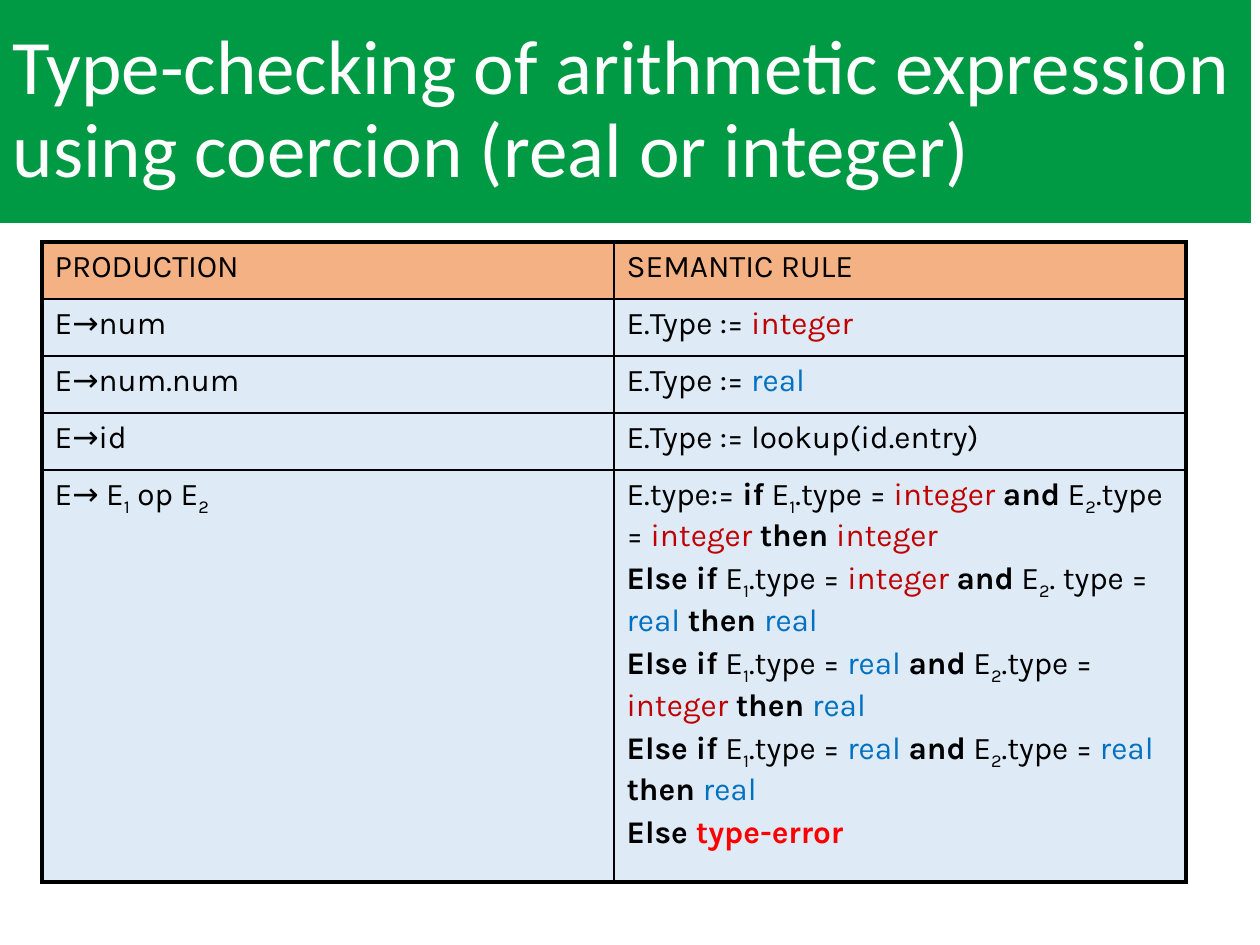
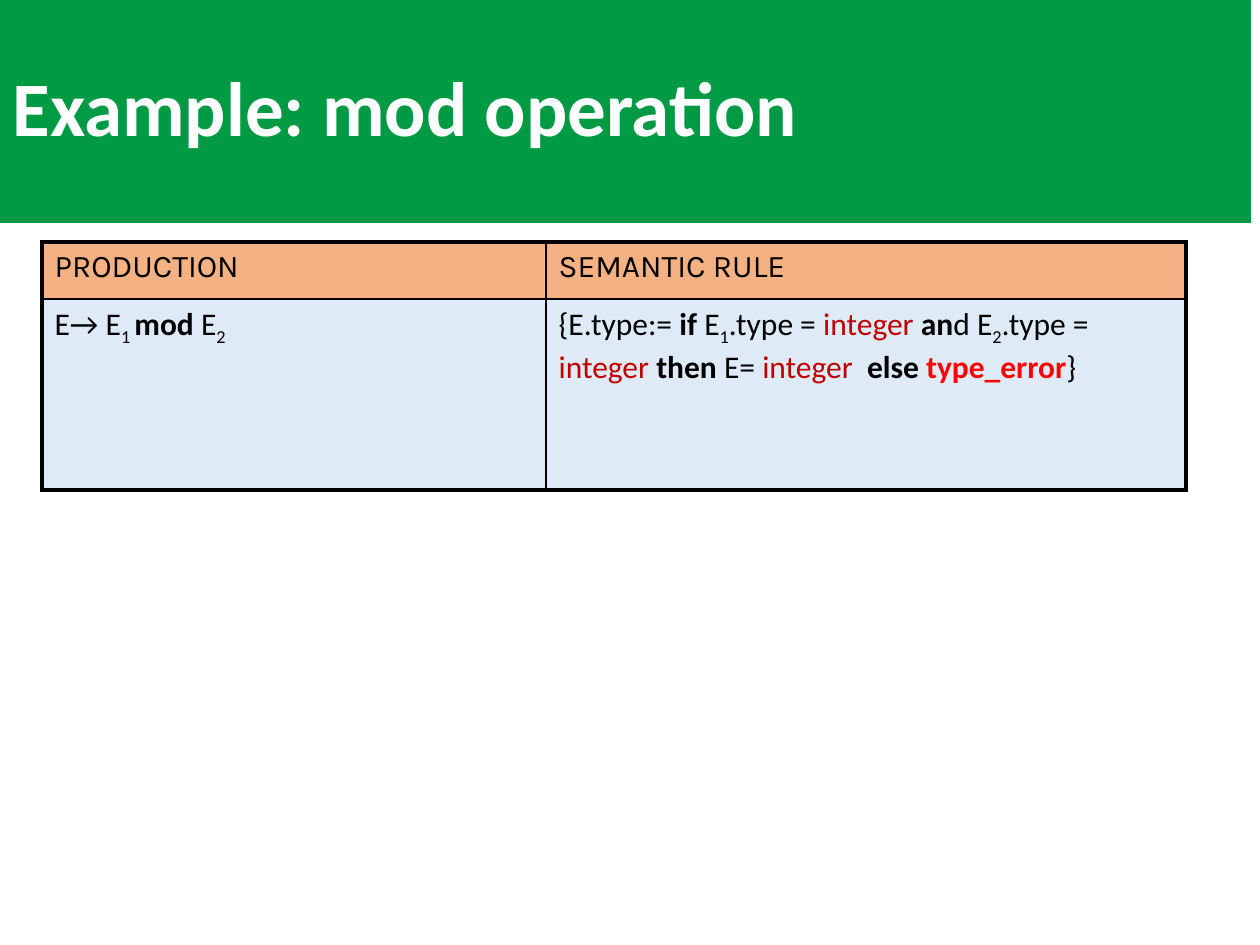
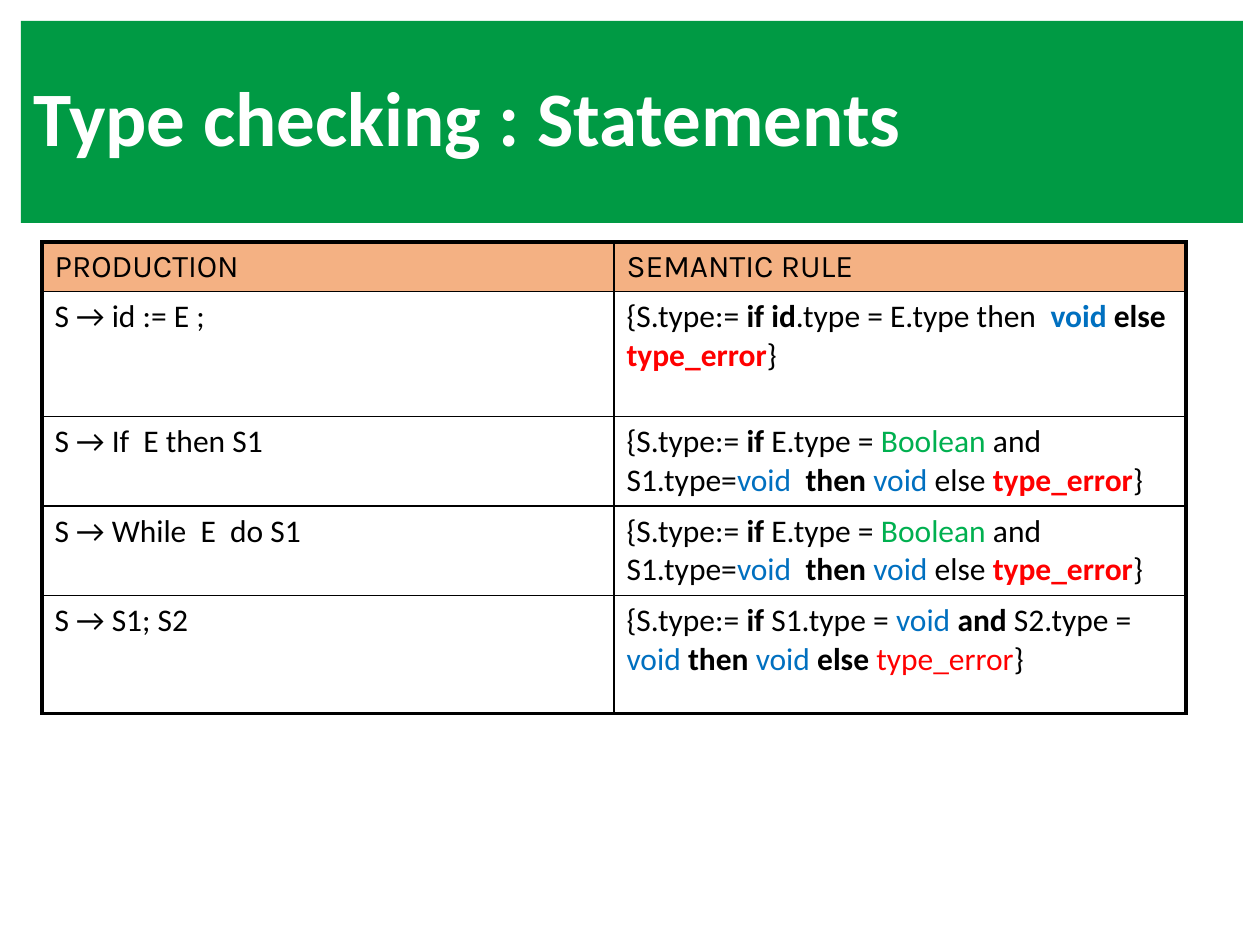
"""Builds three slides on type checking, each with a title band and a rule table."""
from lxml import etree
from pptx import Presentation
from pptx import util as u
from pptx.dml import color
from pptx.enum import text as t
from pptx.oxml import ns

SCALE = 914400 / 126
GREEN, PEACH, PALE, WHITE, BLACK = "009A44", "F4B183", "DEEBF7", "FFFFFF", "000000"
MARKS = {
    "*": {"bold": True},
    "_": {"sub": True},
    "#": {"tint": "C00000"},
    "@": {"tint": "0070C0"},
    "%": {"tint": "00B050"},
    "!": {"tint": "FF0000"},
}


def px(n):
    return u.Emu(round(n * SCALE))


def rgb(code):
    return color.RGBColor.from_string(code)


def paint(item, code):
    item.fill.solid()
    item.fill.fore_color.rgb = rgb(code)


def write(par, words, size=18, face="Calibri", tint=BLACK, bold=False, sub=False):
    run = par.add_run()
    run.text = words
    font = run.font
    font.size, font.name, font.bold = u.Pt(size), face, bold
    font.color.rgb = rgb(tint)
    if sub:
        run._r.get_or_add_rPr().set("baseline", "-25000")


def rich(par, line, **form):
    for part in line.split("|"):
        style = dict(form)
        while part[0] in MARKS:
            style.update(MARKS[part[0]])
            part = part[1:]
        write(par, part, **style)


def space(par, share):
    gap = etree.SubElement(par._p.get_or_add_pPr(), ns.qn("a:spcBef"))
    etree.SubElement(gap, ns.qn("a:spcPct")).set("val", str(share * 1000))


def edge(cell, sides):
    props = cell._tc.get_or_add_tcPr()
    for spot, (side, thick) in enumerate(sides.items()):
        line = etree.Element(ns.qn(f"a:ln{side}"), w=str(u.Pt(thick)))
        fill = etree.SubElement(line, ns.qn("a:solidFill"))
        etree.SubElement(fill, ns.qn("a:srgbClr")).set("val", BLACK)
        props.insert(spot, line)


class Deck:
    def __init__(self):
        self.show = Presentation()
        self.show.slide_width, self.show.slide_height = px(1260), px(945)
        self.slide = None

    def title(self, words, box=(0, 0, 1251, 223), bold=True):
        self.slide = self.show.slides.add_slide(self.show.slide_layouts[5])
        band = self.slide.shapes.title
        band.left, band.top, band.width, band.height = map(px, box)
        paint(band, GREEN)
        frame = band.text_frame
        frame.word_wrap = True
        frame.auto_size = t.MSO_AUTO_SIZE.NONE
        frame.vertical_anchor = t.MSO_ANCHOR.MIDDLE
        par = frame.paragraphs[0]
        par.alignment, par.line_spacing = t.PP_ALIGN.LEFT, 0.9
        write(par, words, size=44, tint=WHITE, bold=bold)

    def table(self, cols, high, rules, face="Calibri", back=PALE):
        rows = [("PRODUCTION", "SEMANTIC RULE"), *rules]
        shape = self.slide.shapes.add_table(
            len(rows), len(cols), px(42), px(242), px(sum(cols)), px(sum(high)))
        grid = shape.table
        grid.first_row = grid.horz_banding = False
        for col, wide in zip(grid.columns, cols):
            col.width = px(wide)
        for r, row in enumerate(rows):
            grid.rows[r].height = px(high[r])
            for c, words in enumerate(row):
                cell = grid.cell(r, c)
                self.fill(cell, words, "Karla" if r == 0 else face)
                paint(cell, PEACH if r == 0 else back)
                outer = {"L": c == 0, "R": c == len(cols) - 1,
                         "T": r == 0, "B": r == len(rows) - 1}
                edge(cell, {side: 2.25 if out else 1 for side, out in outer.items()})

    def fill(self, cell, words, face):
        frame = cell.text_frame
        for i, line in enumerate(words.split("\n")):
            par = frame.add_paragraph() if i else frame.paragraphs[0]
            space(par, 20)
            rich(par, line, face=face)


def test(lead, one, two, out, dot=".type"):
    return f"{lead}| E|_1|.type = |{one} |*and| E|_2|{dot} = |{two} |*then |{out}"


def main():
    deck = Deck()
    whole, real, other = "#integer", "@real", "*Else if"
    deck.title("Type-checking of arithmetic expression using coercion (real or integer)",
               bold=False)
    deck.table((572, 572), [57] * 4 + [412], [
        ("E→num", "E.Type := |#integer"),
        ("E→num.num", "E.Type := |@real"),
        ("E→id", "E.Type := lookup(id.entry)"),
        ("E→ E|_1| op E|_2", "\n".join([
            test("E.type:= |*if", whole, whole, whole),
            test(other, whole, real, real, ". type"),
            test(other, real, whole, real),
            test(other, real, real, real),
            "*Else |*!type-error",
        ])),
    ], face="Karla")

    deck.title("Example: mod operation")
    deck.table((504, 640), [57, 191], [
        ("E→ E|_1 |*mod |E|_2",
         "{E.type:= |*if| E|_1|.type = |#integer |*an|d E|_2|.type = |#integer |*then |"
         "E= |#integer  |*else |*!type_error|}"),
    ])

    deck.title("Type checking : Statements", box=(21, 21, 1222, 202))
    check = ("{S.type:= |*if |E.type = |%Boolean| and S1.type=|@void |* then |@void |"
             "else |*!type_error|}")
    deck.table((572, 572), [47, 125, 83, 83, 118], [
        ("S → id := E ;",
         "{S.type:= |*if id|.type = E.type then  |*@void |*else |*!type_error|}"),
        ("S → If  E then S1", check),
        ("S → While  E  do S1", check),
        ("S → S1; S2",
         "{S.type:= |*if| S1.type = |@void |*and| S2.type = |@void |*then |@void |"
         "*else |!type_error|}"),
    ], back=WHITE)
    deck.show.save("out.pptx")


if __name__ == "__main__":
    main()
